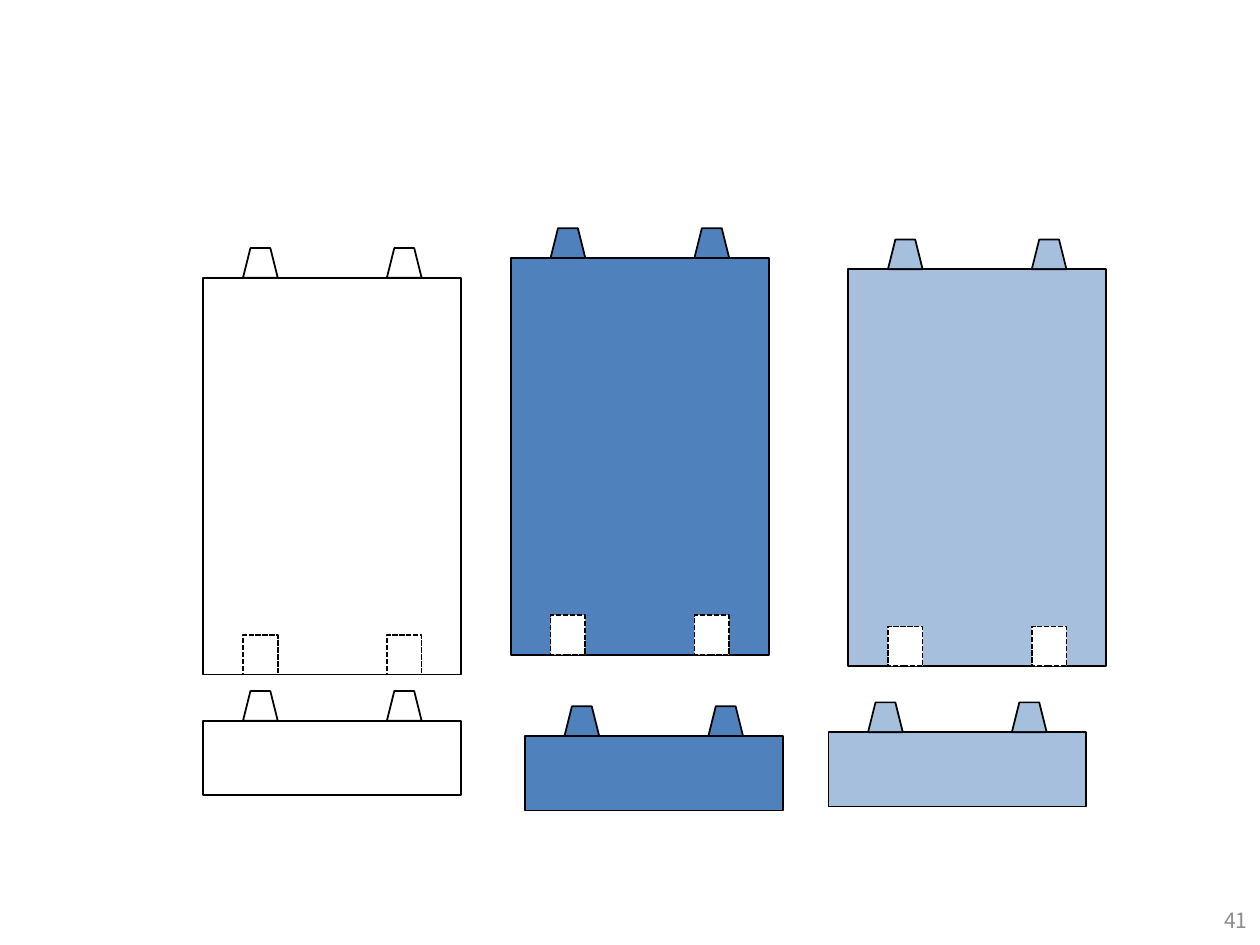
from lxml import etree
from pptx import Presentation
from pptx.dml.color import RGBColor
from pptx.enum.dml import MSO_LINE
from pptx.enum.shapes import MSO_SHAPE
from pptx.enum.text import MSO_ANCHOR, PP_ALIGN
from pptx.oxml.ns import qn
from pptx.util import Cm, Pt

RECTANGLE, TRAPEZOID = MSO_SHAPE.RECTANGLE, MSO_SHAPE.TRAPEZOID
DASHED = MSO_LINE.SQUARE_DOT
MIDDLE, RIGHT = MSO_ANCHOR.MIDDLE, PP_ALIGN.RIGHT
FONT = "Noto Sans CJK KR"
COLORS = {"blue": "4F81BD", "white": "FFFFFF", "black": "000000", "gray": "8C8C8C"}

# All lengths are in centimetres.
BLOCK_WIDTH, PANEL_HEIGHT, BASE_HEIGHT = 5.2, 8.0, 1.5
PEG_WIDTH, PEG_HEIGHT, SOCKET_HEIGHT = 0.7, 0.6, 0.8
PEG_INSET = 0.8
PEG_OFFSETS = (PEG_INSET, BLOCK_WIDTH - PEG_INSET - PEG_WIDTH)

# Fill colour, opacity in percent, panel corner, base corner
BLOCKS = [
    (None, 100, (4.1, 5.6), (4.1, 14.53)),
    ("blue", 100, (10.3, 5.2), (10.58, 14.84)),
    ("blue", 50, (17.1, 5.43), (16.7, 14.76)),
]


def add_outlined(group, kind, left, top, width, height, fill=None, opacity=100, dash=None):
    shape = group.shapes.add_shape(kind, Cm(left), Cm(top), Cm(width), Cm(height))
    shape.shadow.inherit = False
    shape.line.color.rgb = RGBColor.from_string(COLORS["black"])
    shape.line.width = Pt(1)
    if dash:
        shape.line.dash_style = dash
    if not fill:
        shape.fill.background()
        return
    shape.fill.solid()
    shape.fill.fore_color.rgb = RGBColor.from_string(COLORS[fill])
    if opacity < 100:
        color = shape.fill._xPr.find(".//" + qn("a:srgbClr"))
        etree.SubElement(color, qn("a:alpha"), val=str(opacity * 1000))


def add_block(page, left, top, height, fill, opacity, sockets=False):
    """Add a grouped block with two pegs on top and, if asked, two sockets below."""
    group = page.shapes.add_group_shape()
    add_outlined(group, RECTANGLE, left, top, BLOCK_WIDTH, height, fill, opacity)
    if sockets:
        for offset in PEG_OFFSETS:
            add_outlined(group, RECTANGLE, left + offset, top + height - SOCKET_HEIGHT,
                         PEG_WIDTH, SOCKET_HEIGHT, fill and "white", dash=DASHED)
    for offset in PEG_OFFSETS:
        add_outlined(group, TRAPEZOID, left + offset, top - PEG_HEIGHT,
                     PEG_WIDTH, PEG_HEIGHT, fill, opacity)


def add_text(page, text, left, top, width, height, *, size, color, align, anchor):
    box = page.shapes.add_textbox(Cm(left), Cm(top), Cm(width), Cm(height))
    frame = box.text_frame
    frame.word_wrap = True
    frame.vertical_anchor = anchor
    para = frame.paragraphs[0]
    para.alignment = align
    span = para.add_run()
    span.text = text
    span.font.name = FONT
    span.font.size = Pt(size)
    span.font.color.rgb = RGBColor.from_string(COLORS[color])


def main():
    deck = Presentation()
    deck.slide_width, deck.slide_height = Cm(25.4), Cm(19.05)
    page = deck.slides.add_slide(deck.slide_layouts[6])
    add_text(page, "41", 19.47, 18.03, 5.93, 1.02,
             size=12, color="gray", align=RIGHT, anchor=MIDDLE)
    for fill, opacity, panel, _ in BLOCKS:
        add_block(page, *panel, PANEL_HEIGHT, fill, opacity, sockets=True)
    for fill, opacity, _, base in BLOCKS:
        add_block(page, *base, BASE_HEIGHT, fill, opacity)
    deck.save("out.pptx")


if __name__ == "__main__":
    main()
